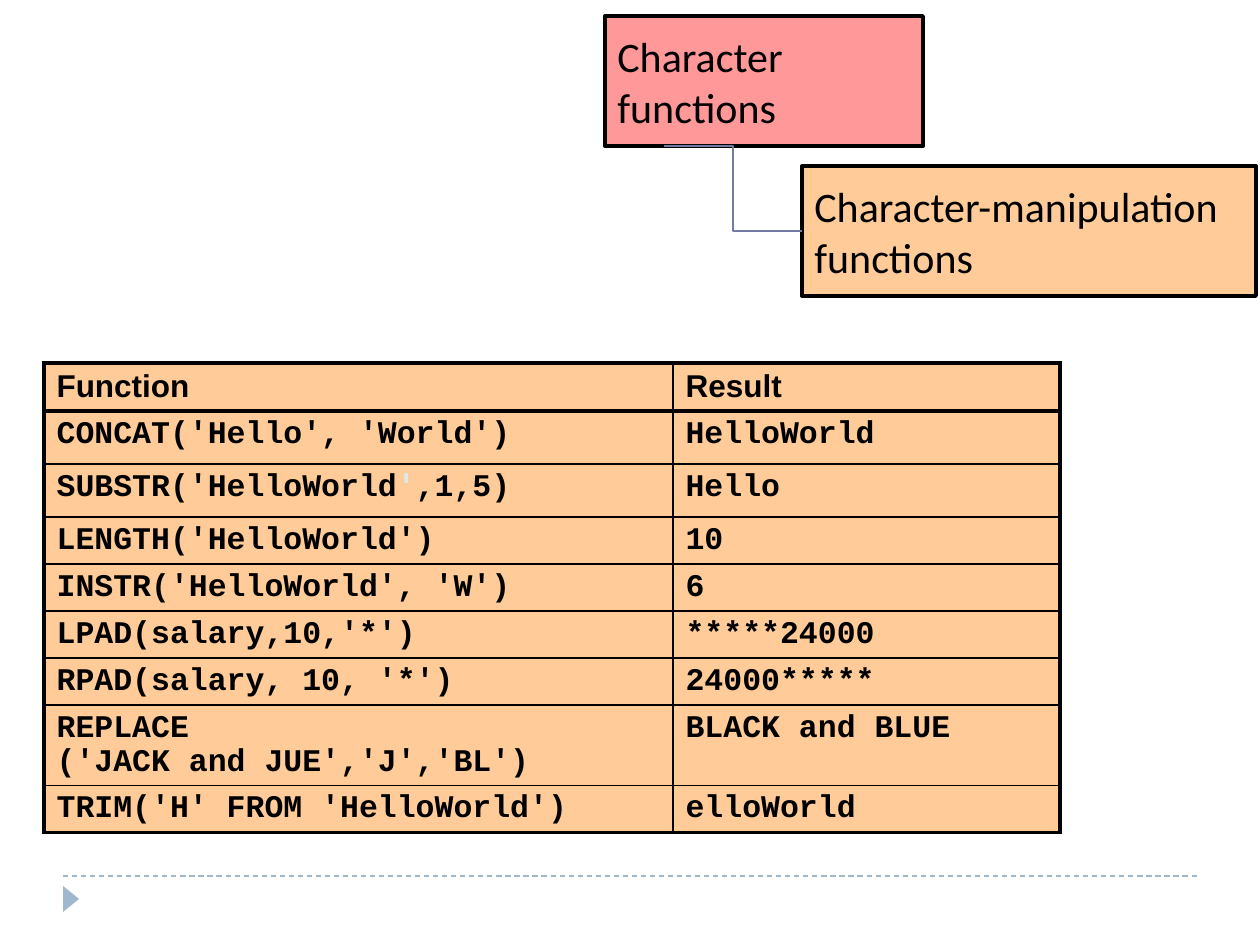
from dataclasses import dataclass

from lxml.etree import SubElement
from pptx import Presentation
from pptx.dml.color import RGBColor
from pptx.enum.dml import MSO_LINE
from pptx.enum.shapes import MSO_CONNECTOR, MSO_SHAPE
from pptx.enum.text import MSO_ANCHOR, PP_ALIGN
from pptx.oxml import parse_xml
from pptx.oxml.ns import nsdecls, qn
from pptx.util import Emu, Pt


@dataclass(frozen=True)
class Theme:
    ink: str = "000000"
    pink: str = "FF9999"
    peach: str = "FFCC99"
    pale: str = "DDE9EC"
    footer: str = "9FB8CD"
    link: str = "727CA3"
    box_font: str = "Calibri"
    head_font: str = "Arial"
    code_font: str = "Courier New"
    box_size: int = 24
    table_size: int = 18
    thick: float = 2.25
    thin: float = 1
    link_width: float = 1.5
    rule_width: float = 0.75


THEME = Theme()
COLUMN_WIDTHS = (629, 387)
ROW_HEIGHTS = (47, 53, 53, 47, 47, 47, 47, 80, 47)
# A cell is one string, or a tuple of (text, colour) pieces.
ROWS = (
    ("Function", "Result"),
    ("CONCAT('Hello', 'World')", "HelloWorld"),
    ((("SUBSTR('HelloWorld", THEME.ink), ("'", THEME.pale), (",1,5)", THEME.ink)), "Hello"),
    ("LENGTH('HelloWorld')", "10"),
    ("INSTR('HelloWorld', 'W')", "6"),
    ("LPAD(salary,10,'*')", "*****24000"),
    ("RPAD(salary, 10, '*')", "24000*****"),
    ("REPLACE\v('JACK and JUE','J','BL')", "BLACK and BLUE"),
    ("TRIM('H' FROM 'HelloWorld')", "elloWorld"),
)


def px(length):
    return Emu(round(length * 914400 / 126))


def rgb(value):
    return RGBColor.from_string(value)


def set_font(font, name, size, bold=False):
    font.name = name
    font.size = Pt(size)
    font.bold = bold
    font.color.rgb = rgb(THEME.ink)


def add_filled(slide, preset, left, top, width, height, fill):
    shape = slide.shapes.add_shape(preset, px(left), px(top), px(width), px(height))
    shape.shadow.inherit = False
    shape.fill.solid()
    shape.fill.fore_color.rgb = rgb(fill)
    shape.line.fill.background()
    return shape


def add_box(slide, left, top, width, height, fill, lines):
    box = add_filled(slide, MSO_SHAPE.RECTANGLE, left, top, width, height, fill)
    box.line.color.rgb = rgb(THEME.ink)
    box.line.width = Pt(THEME.thick)
    frame = box.text_frame
    frame.word_wrap = True
    frame.vertical_anchor = MSO_ANCHOR.MIDDLE
    frame.text = "\n".join(lines)
    for paragraph in frame.paragraphs:
        paragraph.alignment = PP_ALIGN.LEFT
        set_font(paragraph.font, THEME.box_font, THEME.box_size)
    return box


def add_line(slide, kind, start, end, color, width):
    line = slide.shapes.add_connector(kind, *map(px, start + end))
    line.line.color.rgb = rgb(color)
    line.line.width = Pt(width)
    SubElement(line._element.spPr, qn("a:effectLst"))
    return line


def add_footer(slide):
    rule = add_line(slide, MSO_CONNECTOR.STRAIGHT, (63, 876), (1197, 876),
                    THEME.footer, THEME.rule_width)
    rule.line.dash_style = MSO_LINE.DASH
    marker = add_filled(slide, MSO_SHAPE.ISOSCELES_TRIANGLE, 58, 891, 26, 16, THEME.footer)
    marker.rotation = 90


def set_borders(cell, widths):
    """Draw the cell's borders; widths are in points for left, right, top, bottom."""
    properties = cell._tc.get_or_add_tcPr()
    for index, (side, width) in enumerate(zip("LRTB", widths)):
        properties.insert(index, parse_xml(
            f'<a:ln{side} {nsdecls("a")} w="{Pt(width)}"><a:solidFill>'
            f'<a:srgbClr val="{THEME.ink}"/></a:solidFill></a:ln{side}>'))


def fill_cell(cell, content, is_header):
    cell.fill.solid()
    cell.fill.fore_color.rgb = rgb(THEME.peach)
    paragraph = cell.text_frame.paragraphs[0]
    if isinstance(content, str):
        paragraph.text = content
    else:
        for text, color in content:
            run = paragraph.add_run()
            run.text = text
            run.font.color.rgb = rgb(color)
    if not is_header:
        paragraph.line_spacing = 0.95
    font_name = THEME.head_font if is_header else THEME.code_font
    set_font(paragraph.font, font_name, THEME.table_size, bold=True)


def add_function_table(slide, left, top):
    table = slide.shapes.add_table(
        len(ROWS), len(COLUMN_WIDTHS), px(left), px(top),
        px(sum(COLUMN_WIDTHS)), px(sum(ROW_HEIGHTS))).table
    table.horz_banding = False
    for column, width in zip(table.columns, COLUMN_WIDTHS):
        column.width = px(width)
    for row, height in zip(table.rows, ROW_HEIGHTS):
        row.height = px(height)

    last_row, last_column = len(ROWS) - 1, len(COLUMN_WIDTHS) - 1
    for r, contents in enumerate(ROWS):
        for c, content in enumerate(contents):
            cell = table.cell(r, c)
            fill_cell(cell, content, is_header=r == 0)
            heavy = (c == 0, c == last_column, r in (0, 1), r in (0, last_row))
            set_borders(cell, [THEME.thick if h else THEME.thin for h in heavy])


def main():
    presentation = Presentation()
    presentation.slide_width, presentation.slide_height = px(1260), px(945)
    slide = presentation.slides.add_slide(presentation.slide_layouts[6])

    add_footer(slide)
    add_box(slide, 605, 16, 318, 130, THEME.pink, ("Character", "functions"))
    manipulation = add_box(slide, 802, 166, 454, 130, THEME.peach,
                           ("Character-manipulation", "functions"))
    branch = add_line(slide, MSO_CONNECTOR.ELBOW, (664, 146), (802, 231),
                      THEME.link, THEME.link_width)
    branch.end_connect(manipulation, 1)
    add_function_table(slide, 44, 363)

    presentation.save("out.pptx")


if __name__ == "__main__":
    main()
